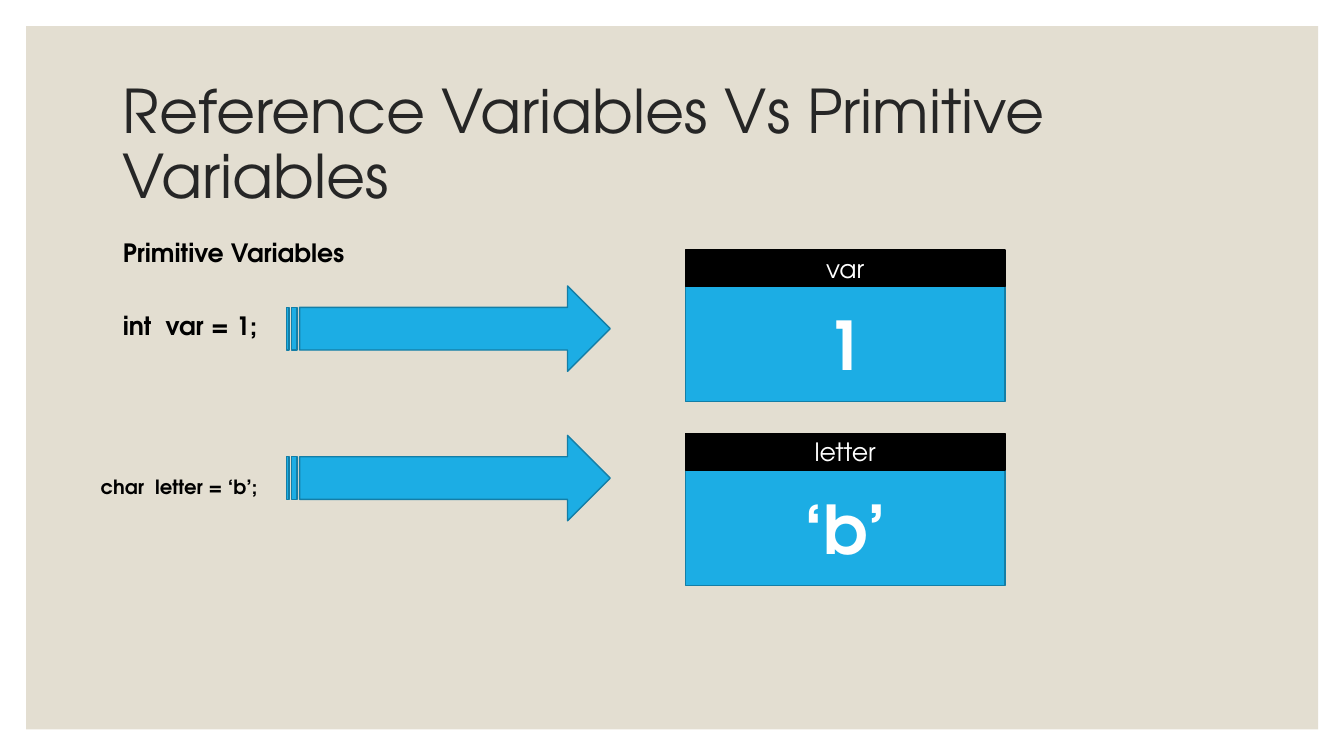
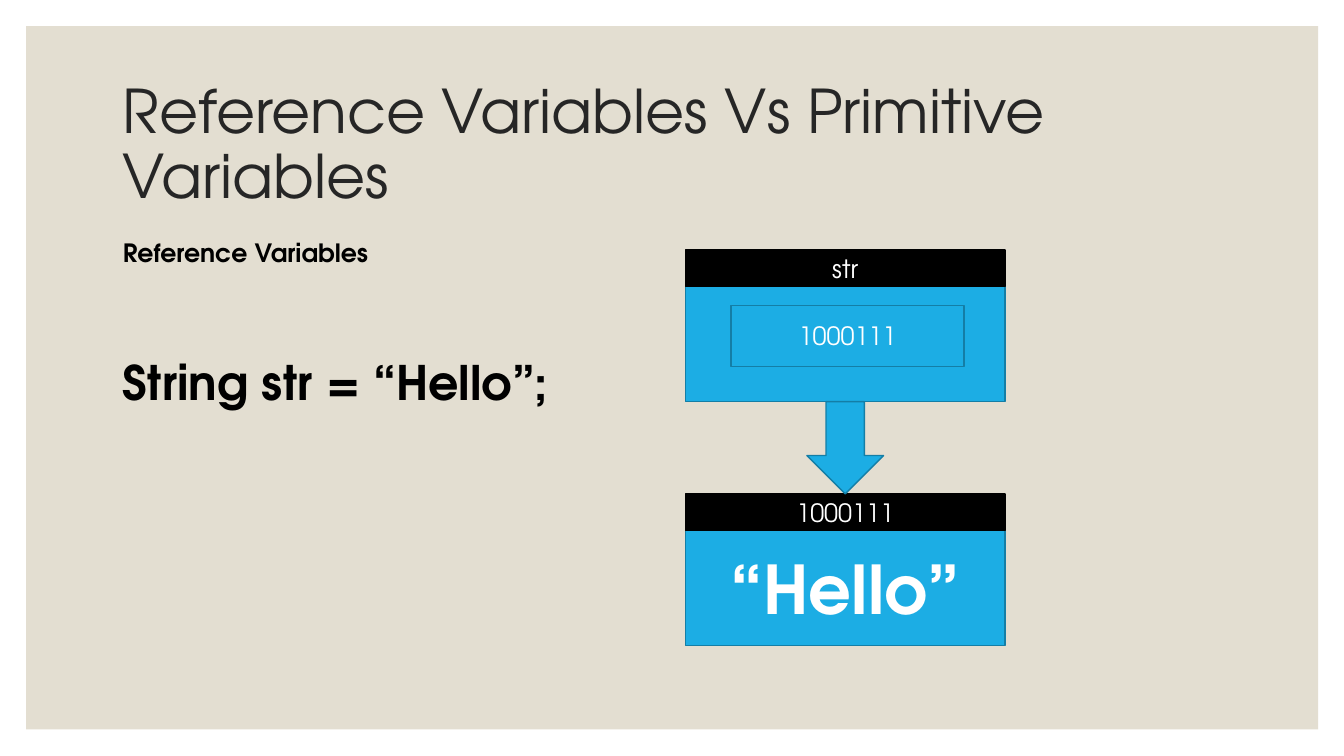
from lxml.etree import SubElement
from pptx import Presentation
from pptx.dml.color import RGBColor
from pptx.enum.shapes import MSO_SHAPE
from pptx.enum.text import MSO_ANCHOR, MSO_AUTO_SIZE, PP_ALIGN
from pptx.oxml.ns import qn
from pptx.util import Pt

FONT = "TeX Gyre Adventor"
BLACK, WHITE = "000000", "FFFFFF"
PANEL, TITLE_INK = "E3DED1", "262626"
BLUE, BLUE_EDGE = "1CADE4", "147EA6"

SLIDE_WIDTH, SLIDE_HEIGHT = 960, 540
PANEL_AREA = (18.7, 18.7, 922.8, 502.3)
TEXT_LEFT = 84.1
TITLE = "Reference Variables Vs Primitive Variables"
TITLE_AREA = (TEXT_LEFT, 50.4, 792, 108)
HEADING_AREA = (TEXT_LEFT, 165.6, 241.2, 52.6)

CARD_LEFT, CARD_WIDTH = 489.5, 228.5
HEADER_HEIGHT, VALUE_HEIGHT = 26, 82.4
CARD_HEIGHT = HEADER_HEIGHT + VALUE_HEIGHT
CARD_CENTER = CARD_LEFT + CARD_WIDTH / 2
FIRST_CARD_TOP = 178.5


def colour(hex_text):
    return RGBColor.from_string(hex_text)


def place(shape, left, top, width, height):
    shape.left, shape.top = Pt(left), Pt(top)
    shape.width, shape.height = Pt(width), Pt(height)


def write(shape, text, size=18, ink=BLACK, bold=False, align=PP_ALIGN.LEFT,
          anchor=MSO_ANCHOR.TOP, before=0, spacing=1.0):
    frame = shape.text_frame
    frame.word_wrap = True
    frame.auto_size = MSO_AUTO_SIZE.NONE
    frame.vertical_anchor = anchor
    frame.margin_left = frame.margin_right = Pt(3.6)
    frame.margin_top = frame.margin_bottom = Pt(3.6)
    para = frame.paragraphs[0]
    para.alignment = align
    para.space_before = Pt(before)
    para.line_spacing = spacing
    span = para.add_run()
    span.text = text
    span.font.name = FONT
    span.font.size = Pt(size)
    span.font.bold = bold
    span.font.color.rgb = colour(ink)
    return para


def remove_bullet(para):
    properties = para._p.get_or_add_pPr()
    properties.set("marL", "0")
    properties.set("indent", "0")
    SubElement(properties, qn("a:buNone"))


def add_block(page, kind, area, fill=BLUE, edge=BLUE_EDGE):
    shape = page.shapes.add_shape(kind, *map(Pt, area))
    shape.shadow.inherit = False
    shape.fill.solid()
    shape.fill.fore_color.rgb = colour(fill)
    if edge:
        shape.line.color.rgb = colour(edge)
        shape.line.width = Pt(1)
    else:
        shape.line.fill.background()
    return shape


def add_label(page, text, area, size=18):
    box = page.shapes.add_textbox(*map(Pt, area))
    write(box, text, size=size, bold=True, before=9)


def add_centered_box(page, text, area, fill=BLUE, edge=BLUE_EDGE, **text_format):
    box = add_block(page, MSO_SHAPE.RECTANGLE, area, fill, edge)
    if text:
        write(box, text, ink=WHITE, align=PP_ALIGN.CENTER,
              anchor=MSO_ANCHOR.MIDDLE, **text_format)


def add_card(page, top, name, value=""):
    add_centered_box(page, value,
                     (CARD_LEFT, top + HEADER_HEIGHT, CARD_WIDTH, VALUE_HEIGHT),
                     size=48, bold=True)
    add_centered_box(page, name, (CARD_LEFT, top, CARD_WIDTH, HEADER_HEIGHT),
                     fill=BLACK, edge=BLACK)


def add_striped_arrow(page, top):
    add_block(page, MSO_SHAPE.STRIPED_RIGHT_ARROW, (204.5, top, 231.4, 61))


def add_panel(page):
    panel = add_block(page, MSO_SHAPE.RECTANGLE, PANEL_AREA, PANEL, edge=None)
    page.shapes.element.insert(2, panel.element)


def add_page(deck, heading):
    page = deck.slides.add_slide(deck.slide_layouts[1])
    add_panel(page)
    title, body = page.shapes.title, page.placeholders[1]
    place(title, *TITLE_AREA)
    place(body, *HEADING_AREA)
    write(title, TITLE, size=43, ink=TITLE_INK,
          anchor=MSO_ANCHOR.MIDDLE, spacing=0.9)
    remove_bullet(write(body, heading, bold=True, before=9))
    return page


def build_primitive_page(page):
    add_label(page, "int  var = 1;", (TEXT_LEFT, 218.2, 109.4, 52.6))
    add_striped_arrow(page, 204.3)
    add_card(page, FIRST_CARD_TOP, "var", "1")
    add_label(page, "char  letter = ‘b’;", (68.3, 335.5, 125.3, 24.5), size=14)
    add_striped_arrow(page, 311)
    add_card(page, 309.75, "letter", "‘b’")


def build_reference_page(page):
    object_top = 352.8
    arrow_top = FIRST_CARD_TOP + CARD_HEIGHT
    arrow_width = 54.8
    add_label(page, "String str = “Hello”;", (TEXT_LEFT, 248.4, 339.8, 48.2), size=34)
    add_card(page, FIRST_CARD_TOP, "str")
    add_card(page, object_top, "1000111", "“Hello”")
    add_block(page, MSO_SHAPE.DOWN_ARROW,
              (CARD_CENTER - arrow_width / 2, arrow_top,
               arrow_width, object_top - arrow_top))
    add_centered_box(page, "1000111", (522.2, 218, 166.5, 43.8))


def main():
    deck = Presentation()
    deck.slide_width, deck.slide_height = Pt(SLIDE_WIDTH), Pt(SLIDE_HEIGHT)
    build_primitive_page(add_page(deck, "Primitive Variables"))
    build_reference_page(add_page(deck, "Reference Variables"))
    deck.save("out.pptx")


if __name__ == "__main__":
    main()
